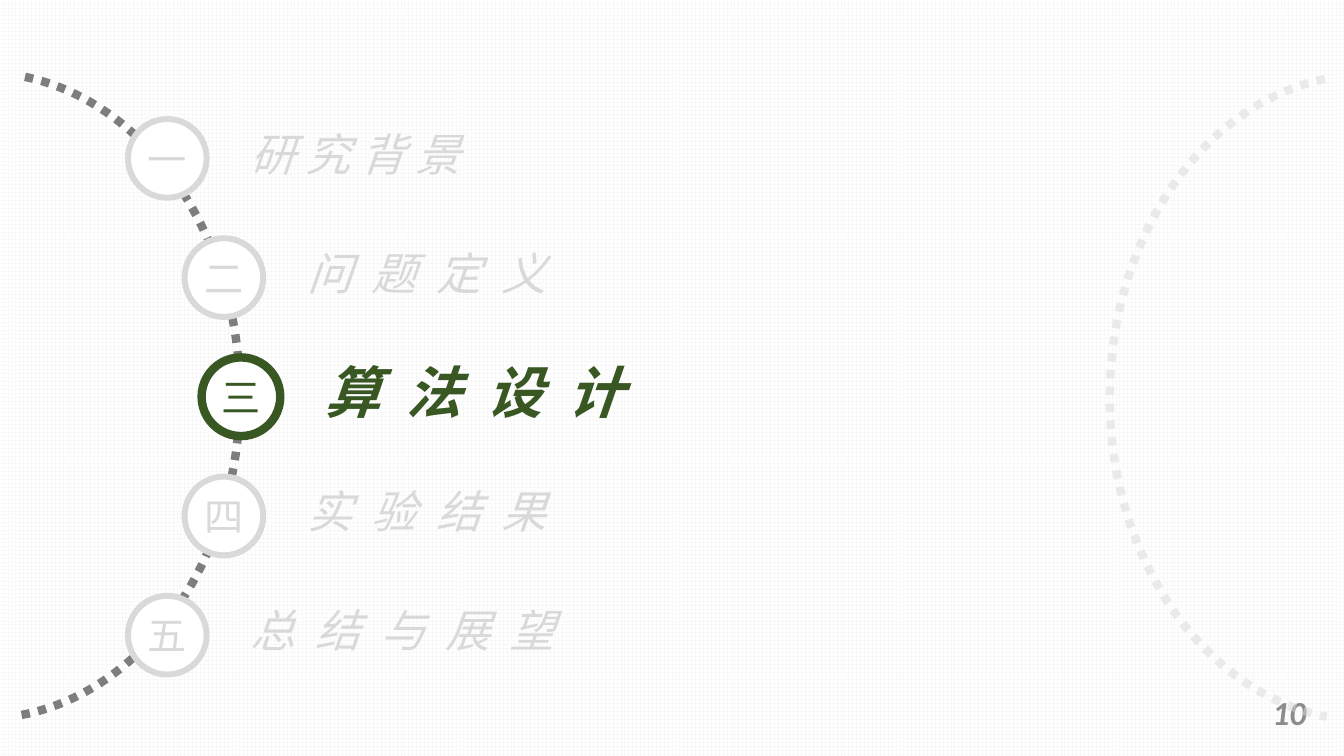
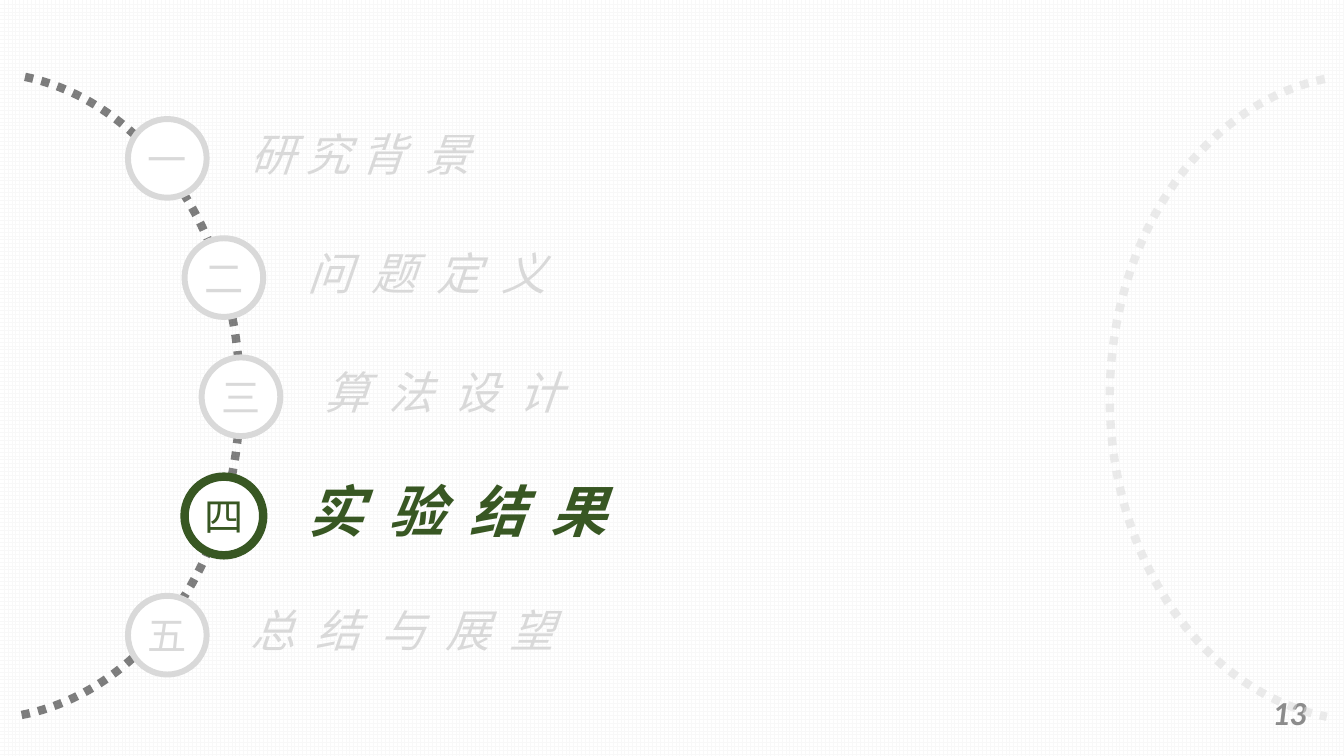
import pptx
import pptx.util
import pptx.dml.color
import pptx.enum.dml
import pptx.enum.shapes
import pptx.enum.text
import pptx.oxml.ns
import lxml.etree

Pt = pptx.util.Pt
RGBColor = pptx.dml.color.RGBColor
qn = pptx.oxml.ns.qn
SHAPE = pptx.enum.shapes.MSO_SHAPE
ALIGN = pptx.enum.text.PP_ALIGN
MIDDLE = pptx.enum.text.MSO_ANCHOR.MIDDLE

WHITE = RGBColor(0xFF, 0xFF, 0xFF)
BLACK = RGBColor(0x00, 0x00, 0x00)
GRID = RGBColor(0xF8, 0xF8, 0xF8)
MUTED = RGBColor(0xD9, 0xD9, 0xD9)
GREEN = RGBColor(0x38, 0x57, 0x23)
NUMBER_GREY = RGBColor(0x8C, 0x8C, 0x8C)

LABEL_FONT = "Noto Sans CJK SC"
SPACE_WIDTH = 0.224
CIRCLE = 56.2
FIRST_TOP = 85
ROW_STEP = 85.15

SECTIONS = [
    ("一", "研 究 背 景", 91.4, 734.4),
    ("二", "问 题 定 义", 131.8, 641.5),
    ("三", "算 法 设 计", 144, 612.7),
    ("四", "实 验 结 果", 131.8, 641.5),
    ("五", "总 结 与 展 望", 91.4, 726.5),
]
PAGES = [
    ("10", 2, [("研 究 背 景", 0)]),
    ("13", 3, [("研 究 背", 0), (" ", SPACE_WIDTH), ("景", 0)]),
]


def add_arc(page, left, top, end, color, flipped):
    arc = page.shapes.add_shape(SHAPE.ARC, Pt(left), Pt(top), Pt(367.2), Pt(461.5))
    arc.shadow.inherit = False
    arc.adjustments[0] = 166.51
    arc.adjustments[1] = end
    arc.fill.background()
    arc.line.color.rgb = color
    arc.line.width = Pt(6)
    arc.line.dash_style = pptx.enum.dml.MSO_LINE.ROUND_DOT
    tone = arc.line._ln.find(".//" + qn("a:srgbClr"))
    lxml.etree.SubElement(tone, qn("a:alpha")).set("val", "50000")
    if flipped:
        arc._element.spPr.find(qn("a:xfrm")).set("flipH", "1")


def style_font(font, name, size, color, bold=False, italic=False):
    font.size = Pt(size)
    font.bold = bold
    font.italic = italic
    font.color.rgb = color
    font.name = name


deck = pptx.Presentation()
deck.slide_width = Pt(960)
deck.slide_height = Pt(540)

for number, current, first_label in PAGES:
    page = deck.slides.add_slide(deck.slide_layouts[6])
    backdrop = page.background.fill
    backdrop.patterned()
    backdrop.pattern = pptx.enum.dml.MSO_PATTERN.LARGE_GRID
    backdrop.fore_color.rgb = GRID
    backdrop.back_color.rgb = WHITE

    add_arc(page, -195.8, 51.8, 50.04, BLACK, False)

    for index, (numeral, title, left, width) in enumerate(SECTIONS):
        active = index == current
        color = GREEN if active else MUTED
        size = 40 if active else 32
        top = FIRST_TOP + index * ROW_STEP

        label = page.shapes.add_shape(
            SHAPE.ROUNDED_RECTANGLE, Pt(left + 35.5), Pt(top + 4.2), Pt(width), Pt(45.4))
        label.shadow.inherit = False
        label.adjustments[0] = 0.5
        label.fill.background()
        label.line.fill.background()
        frame = label.text_frame
        frame.word_wrap = True
        frame.vertical_anchor = MIDDLE
        frame.margin_left = Pt(45.4)
        frame.margin_right = frame.margin_top = frame.margin_bottom = Pt(6.5)
        para = frame.paragraphs[0]
        para.alignment = ALIGN.LEFT
        para.line_spacing = 0.9
        properties = para._p.get_or_add_pPr()
        after = lxml.etree.SubElement(properties, qn("a:spcAft"))
        lxml.etree.SubElement(after, qn("a:spcPct")).set("val", "35000")
        style_font(para.font, LABEL_FONT, size, color, active, True)
        defaults = properties.find(qn("a:defRPr"))
        lxml.etree.SubElement(defaults, qn("a:ea")).set("typeface", LABEL_FONT)
        pieces = first_label if index == 0 else [(title, SPACE_WIDTH / 2)]
        for text, tracking in pieces:
            span = para.add_run()
            span.text = text
            span._r.get_or_add_rPr().set("spc", str(round(tracking * size * 100)))

        circle = page.shapes.add_shape(SHAPE.OVAL, Pt(left), Pt(top), Pt(CIRCLE), Pt(CIRCLE))
        circle.shadow.inherit = False
        circle.fill.solid()
        circle.fill.fore_color.rgb = WHITE
        circle.line.color.rgb = color
        circle.line.width = Pt(6 if active else 4.25)
        frame = circle.text_frame
        frame.vertical_anchor = MIDDLE
        frame.margin_left = frame.margin_right = frame.margin_top = frame.margin_bottom = 0
        para = frame.paragraphs[0]
        para.alignment = ALIGN.CENTER
        para.text = numeral
        style_font(para.font, "Arial", 28, color)

    box = page.shapes.add_textbox(Pt(894.2), Pt(486.7), Pt(46.1), Pt(43.2))
    box.text_frame.word_wrap = True
    box.text_frame.vertical_anchor = MIDDLE
    para = box.text_frame.paragraphs[0]
    para.alignment = ALIGN.RIGHT
    para.text = number
    style_font(para.font, "Calibri", 24, NUMBER_GREY, True, True)

    add_arc(page, 792.7, 53.3, 49.72, MUTED, True)

deck.save("out.pptx")
